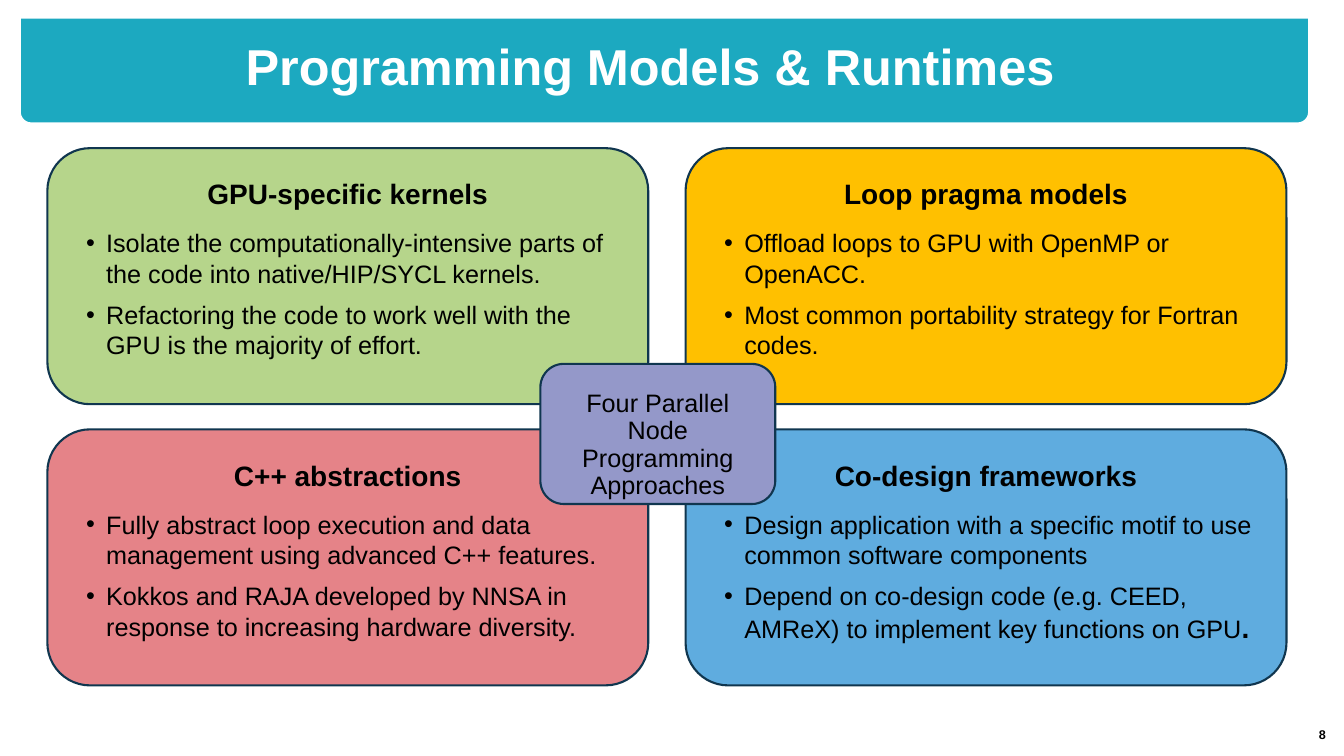
from lxml import etree
from pptx import Presentation
from pptx import util as u
from pptx.dml.color import RGBColor
from pptx.enum import shapes, text
from pptx.oxml import ns

TITLE = "Programming Models & Runtimes"
HUB = "Four Parallel Node Programming Approaches"
PAGE_NUMBER = "8"
CARDS = [
    ("GPU-specific kernels", "green", [
        "Isolate the computationally-intensive parts of the code into native/HIP/SYCL kernels.",
        "Refactoring the code to work well with the GPU is the majority of effort."]),
    ("Loop pragma models", "amber", [
        "Offload loops to GPU with OpenMP or OpenACC.",
        "Most common portability strategy for Fortran codes."]),
    ("C++ abstractions", "red", [
        "Fully abstract loop execution and data management using advanced C++ features.",
        "Kokkos and RAJA developed by NNSA in response to increasing hardware diversity."]),
    ("Co-design frameworks", "blue", [
        "Design application with a specific motif to use common software components",
        "Depend on co-design code (e.g. CEED, AMReX) to implement key functions on GPU"]),
]
FINAL_STOP = "."
COLORS = {"green": "B6D58B", "amber": "FFC000", "red": "E58388", "blue": "5FACDF",
          "purple": "9498C9", "teal": "1CA9C0", "navy": "10364F",
          "white": "FFFFFF", "black": "000000"}

SCALE = 9144
CARD_LEFT, CARD_TOP, CARD_WIDTH, CARD_HEIGHT = 47, 147, 596, 254
COLUMN_STEP, ROW_STEP = 633, 279


def px(value):
    return u.Emu(value * SCALE)


def color(name):
    return RGBColor.from_string(COLORS[name])


def set_frame(frame, left, top, right, bottom, anchor):
    frame.word_wrap = True
    frame.auto_size = text.MSO_AUTO_SIZE.NONE
    frame.vertical_anchor = anchor
    frame.margin_left, frame.margin_top = px(left), px(top)
    frame.margin_right, frame.margin_bottom = px(right), px(bottom)


def add_span(para, words, size, bold=False, ink="black"):
    span = para.add_run()
    span.text = words
    span.font.name = "Arial"
    span.font.size = u.Pt(size)
    span.font.bold = bold
    span.font.color.rgb = color(ink)


def add_text(frame, words, size=18, bold=False, ink="black", after=0, bullet=False):
    para = frame.paragraphs[0] if not frame.text else frame.add_paragraph()
    para.alignment = text.PP_ALIGN.LEFT if bullet else text.PP_ALIGN.CENTER
    para.line_spacing = 1.0 if bullet else 0.9
    para.space_before = u.Pt(0)
    para.space_after = u.Pt(after)
    if bullet:
        para.level = 1
        props = para._p.get_or_add_pPr()
        props.set("marL", str(px(26)))
        props.set("indent", str(px(-20)))
        etree.SubElement(props, ns.qn("a:buFont"), typeface="Arial")
        etree.SubElement(props, ns.qn("a:buChar"), char="•")
    add_span(para, words, size, bold, ink)
    return para


def add_block(page, kind, left, top, width, height, fill, line="navy", line_width=1.5):
    block = page.shapes.add_shape(kind, px(left), px(top), px(width), px(height))
    block.shadow.inherit = False
    block.fill.solid()
    block.fill.fore_color.rgb = color(fill)
    block.line.color.rgb = color(line)
    block.line.width = u.Pt(line_width)
    set_frame(block.text_frame, 20, 20, 20, 20, text.MSO_ANCHOR.TOP)
    return block


def main():
    deck = Presentation()
    deck.slide_width, deck.slide_height = px(1333), px(750)
    page = deck.slides.add_slide(deck.slide_layouts[5])
    rounded = shapes.MSO_SHAPE.ROUNDED_RECTANGLE

    number = page.shapes.add_textbox(px(1296), px(721), px(31), px(17))
    set_frame(number.text_frame, 0, 0, 0, 0, text.MSO_ANCHOR.MIDDLE)
    add_text(number.text_frame, PAGE_NUMBER, size=9, bold=True)

    for index, (heading, fill, points) in enumerate(CARDS):
        row, column = divmod(index, 2)
        card = add_block(page, rounded, CARD_LEFT + column * COLUMN_STEP,
                         CARD_TOP + row * ROW_STEP, CARD_WIDTH, CARD_HEIGHT, fill)
        add_text(card.text_frame, heading, size=20, bold=True, after=12)
        for point in points:
            para = add_text(card.text_frame, point, after=8, bullet=True)
    add_span(para, FINAL_STOP, 20, bold=True)

    banner = add_block(page, shapes.MSO_SHAPE.ROUND_2_SAME_RECTANGLE,
                       20, 18, 1278, 104, "teal", "white", 0.85)
    banner.rotation = 180
    banner.adjustments[0] = 0.105
    banner.adjustments[1] = 0

    title = page.shapes.title
    title.left, title.top, title.width, title.height = px(20), px(18), px(1264), px(102)
    set_frame(title.text_frame, 9, 9, 23, 9, text.MSO_ANCHOR.MIDDLE)
    add_text(title.text_frame, TITLE, size=36, bold=True, ink="white")
    banner.element.addnext(title.element)

    hub = add_block(page, rounded, 536, 361, 233, 139, "purple")
    add_text(hub.text_frame, HUB, after=12)

    deck.save("out.pptx")


if __name__ == "__main__":
    main()
